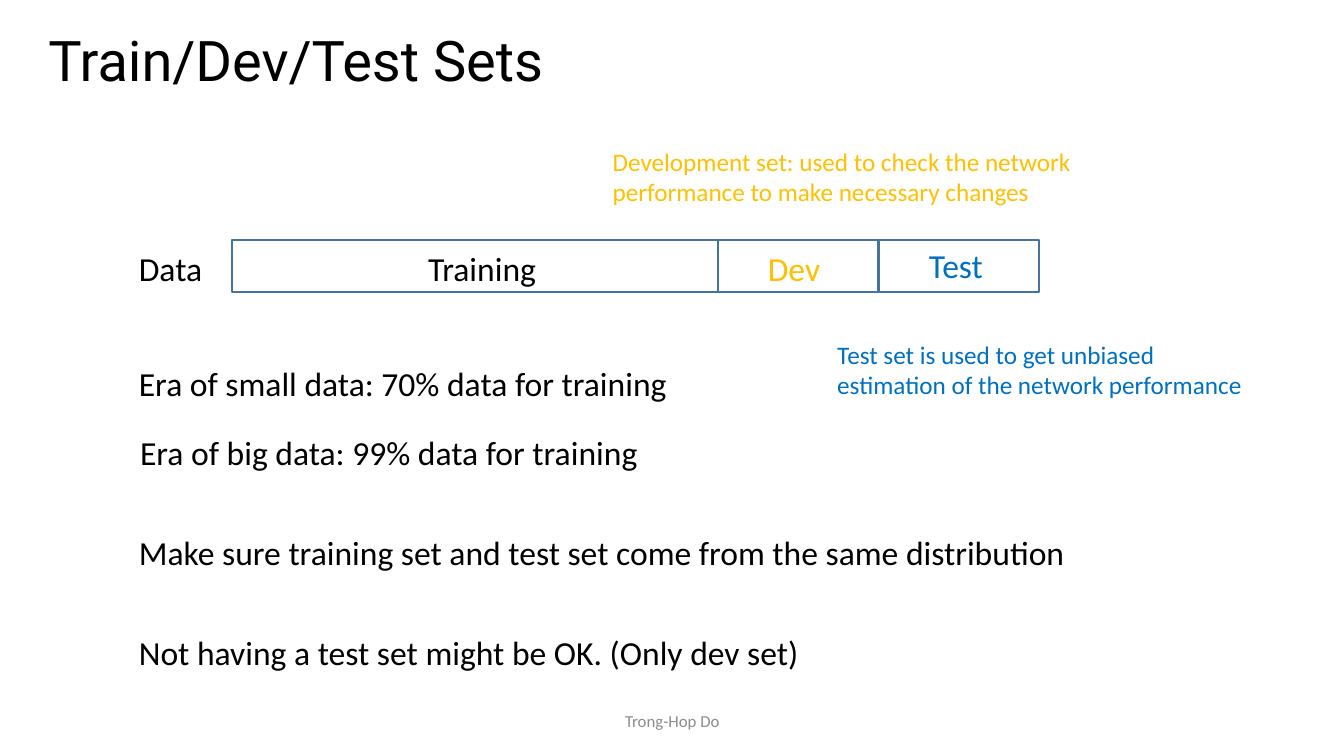
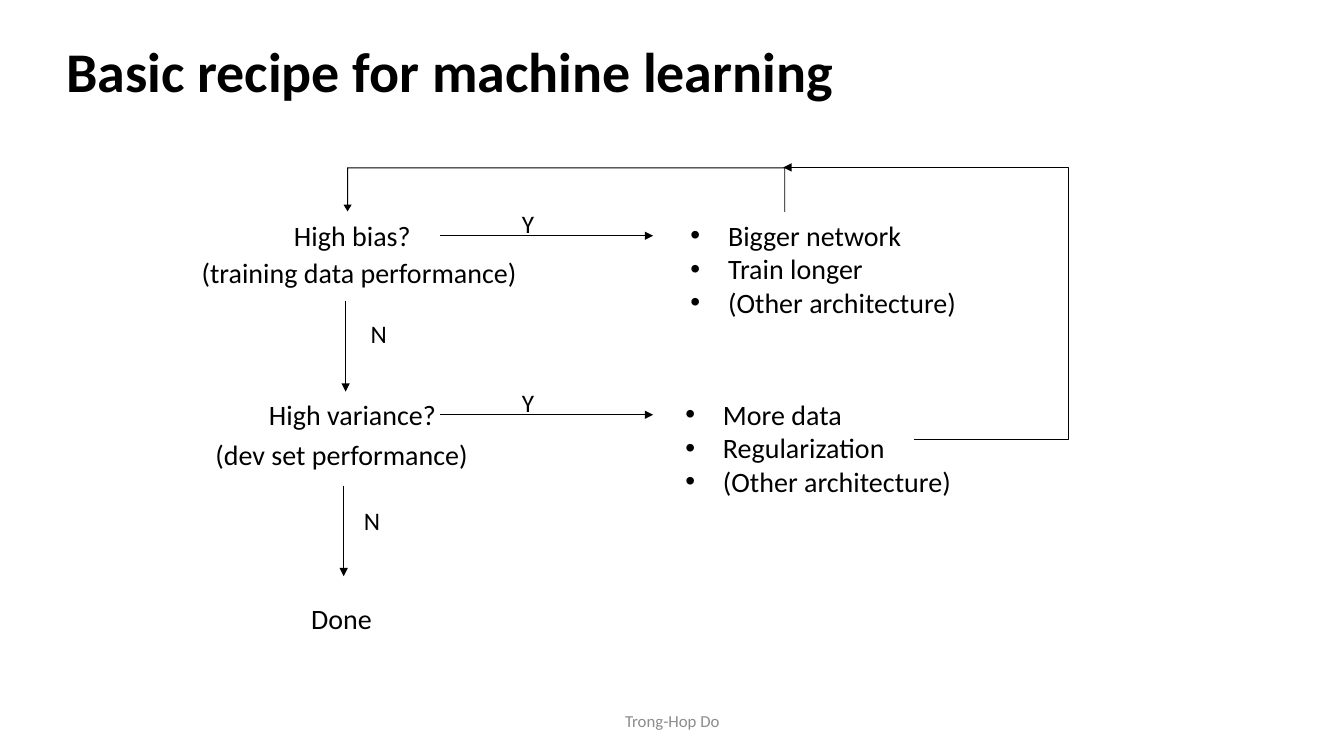
from pptx import Presentation
from pptx.dml.color import RGBColor
from pptx.enum import shapes, text
from pptx.oxml.xmlchemy import OxmlElement
from pptx.util import Cm, Pt

BLACK = RGBColor(0x00, 0x00, 0x00)
GOLD = RGBColor(0xFF, 0xC0, 0x00)
BLUE = RGBColor(0x00, 0x70, 0xC0)
STEEL = RGBColor(0x43, 0x73, 0x9E)
GREY = RGBColor(0x8C, 0x8C, 0x8C)
BODY = "Calibri"


def add_node(parent, tag, **attrs):
    node = OxmlElement(tag)
    for key, value in attrs.items():
        node.set(key, str(value))
    parent.append(node)
    return node


def add_text(slide, lines, left, top, width, height, size=20, color=BLACK,
             wrap=False, font=BODY, bullets=False):
    """Add a text box with one paragraph per line and return its frame."""
    box = slide.shapes.add_textbox(Cm(left), Cm(top), Cm(width), Cm(height))
    frame = box.text_frame
    frame.word_wrap = wrap
    frame.text = lines
    for para in frame.paragraphs:
        if bullets:
            props = para._p.get_or_add_pPr()
            props.set("marL", str(Cm(0.95)))
            props.set("indent", str(Cm(-0.95)))
            add_node(props, "a:buFont", typeface="Arial")
            add_node(props, "a:buChar", char="•")
        para.font.name = font
        para.font.size = Pt(size)
        para.font.color.rgb = color
    return frame


def add_line(slide, start, end, color=BLACK, width=1, arrow=True, bend=None):
    """Add a straight line, or an elbow whose bend is in 1/100000 of its width."""
    kind = shapes.MSO_CONNECTOR.STRAIGHT if bend is None else shapes.MSO_CONNECTOR.ELBOW
    line = slide.shapes.add_connector(kind, *(Cm(v) for v in (*start, *end)))
    line.line.color.rgb = color
    line.line.width = Pt(width)
    props = line._element.spPr
    if arrow:
        add_node(line.line._get_or_add_ln(), "a:tailEnd", type="triangle")
    if bend is not None:
        guides = props.prstGeom.get_or_add_avLst()
        add_node(guides, "a:gd", name="adj1", fmla=f"val {bend}")
    add_node(props, "a:effectLst")


def add_shape(slide, kind, left, top, width, height):
    shape = slide.shapes.add_shape(kind, Cm(left), Cm(top), Cm(width), Cm(height))
    shape.shadow.inherit = False
    return shape


def add_page(deck, title, left, width, height, font=BODY, bold=False):
    """Add a blank slide with its title and the shared footer."""
    slide = deck.slides.add_slide(deck.slide_layouts[6])
    frame = add_text(slide, title, left, 0.41, width, height, 40, wrap=True, font=font)
    frame.vertical_anchor = text.MSO_ANCHOR.MIDDLE
    frame.paragraphs[0].line_spacing = 0.9
    frame.paragraphs[0].font.bold = bold
    foot = add_text(slide, "Trong-Hop Do", 11.23, 17.65, 11.43, 1.02, 12, GREY, wrap=True)
    foot.vertical_anchor = text.MSO_ANCHOR.MIDDLE
    foot.paragraphs[0].alignment = text.PP_ALIGN.CENTER
    return slide


def build_sets(deck):
    slide = add_page(deck, "Train/Dev/Test Sets", 0.97, 29.21, 2.36, font="Roboto")
    left, top, width, height, part = 5.84, 6.05, 20.35, 1.3, 4.05
    bar = add_shape(slide, shapes.MSO_SHAPE.RECTANGLE, left, top, width, height)
    bar.fill.background()
    bar.line.color.rgb = STEEL
    bar.line.width = Pt(1.5)
    for count in (2, 1):
        x = left + width - count * part
        add_line(slide, (x, top), (x, top + height), STEEL, 1.5, arrow=False)

    for label, x, y, w, color in (
        ("Data", 3.25, 6.12, 2.13, BLACK),
        ("Training", 10.54, 6.12, 3.33, BLACK),
        ("Dev", 19.1, 6.12, 1.85, GOLD),
        ("Test", 23.16, 6.05, 1.88, BLUE),
    ):
        add_text(slide, label, x, y, w, 1.27, 24, color)

    for point, x, y, w, wrap in (
        ("Era of small data: 70% data for training", 3.25, 9.02, 15.37, True),
        ("Era of big data: 99% data for training", 3.28, 10.77, 15.37, True),
        ("Make sure training set and test set come from the same distribution",
         3.25, 13.28, 24.05, False),
        ("Not having a test set might be OK. (Only dev set)", 3.25, 15.8, 17.27, False),
    ):
        add_text(slide, point, x, y, w, 1.27, 24, wrap=wrap)

    for note, x, y, w, color in (
        ("Development set: used to check the network performance to make necessary changes",
         15.19, 3.56, 13.08, GOLD),
        ("Test set is used to get unbiased estimation of the network performance",
         20.85, 8.43, 11.28, BLUE),
    ):
        add_text(slide, note, x, y, w, 1.8, 18, color, wrap=True)


def add_check(slide, top, question, detail, fixes, fix_x):
    """Add a question row; question and detail are (text, left, top offset, width)."""
    for label, x, drop, width in (question, detail):
        add_text(slide, label, x, top + drop, width, 1.12)
    add_line(slide, (11.1, top + 0.57), (16.46, top + 0.57))
    add_text(slide, "Y", 12.9, top - 0.24, 0.81, 1.02, 18)
    add_text(slide, "\n".join(fixes), fix_x, top, 7.29, 2.82, bullets=True)


def add_no(slide, x, top, label_x, label_y):
    add_line(slide, (x, top), (x, top + 2.28))
    add_text(slide, "N", label_x, label_y, 0.91, 1.02, 18)


def build_recipe(deck):
    slide = add_page(deck, "Basic recipe for machine learning", 1.42, 25.3, 2.95, bold=True)
    other = "(Other architecture)"
    add_check(slide, 5.37, ("High bias?", 7.16, 0, 3.48),
              ("(training data performance)", 4.83, 0.95, 8.53),
              ("Bigger network", "Train longer", other), 17.15)
    add_check(slide, 9.88, ("High variance?", 6.53, 0, 4.78),
              ("(dev set performance)", 5.18, 1.02, 6.93),
              ("More data", "Regularization", other), 17.02)
    add_no(slide, 8.71, 7.59, 9.09, 7.9)
    add_no(slide, 8.66, 12.24, 8.92, 12.62)
    add_text(slide, "Done", 7.59, 15.04, 2.06, 1.12)

    back = add_shape(slide, shapes.MSO_SHAPE.U_TURN_ARROW, 8.66, 4.22, 11.13, 1.12)
    for index, value in enumerate((0.02, 0.09, 0.15, 0, 0.99)):
        back.adjustments[index] = value
    back._element.spPr.xfrm.set("flipH", "1")
    back.fill.solid()
    back.fill.fore_color.rgb = BLACK
    back.line.fill.background()
    add_line(slide, (23.04, 11.07), (19.74, 4.22), width=0.75, bend=-117900)


def main():
    deck = Presentation()
    deck.slide_width, deck.slide_height = Cm(33.87), Cm(19.05)
    build_sets(deck)
    build_recipe(deck)
    deck.save("out.pptx")


if __name__ == "__main__":
    main()
